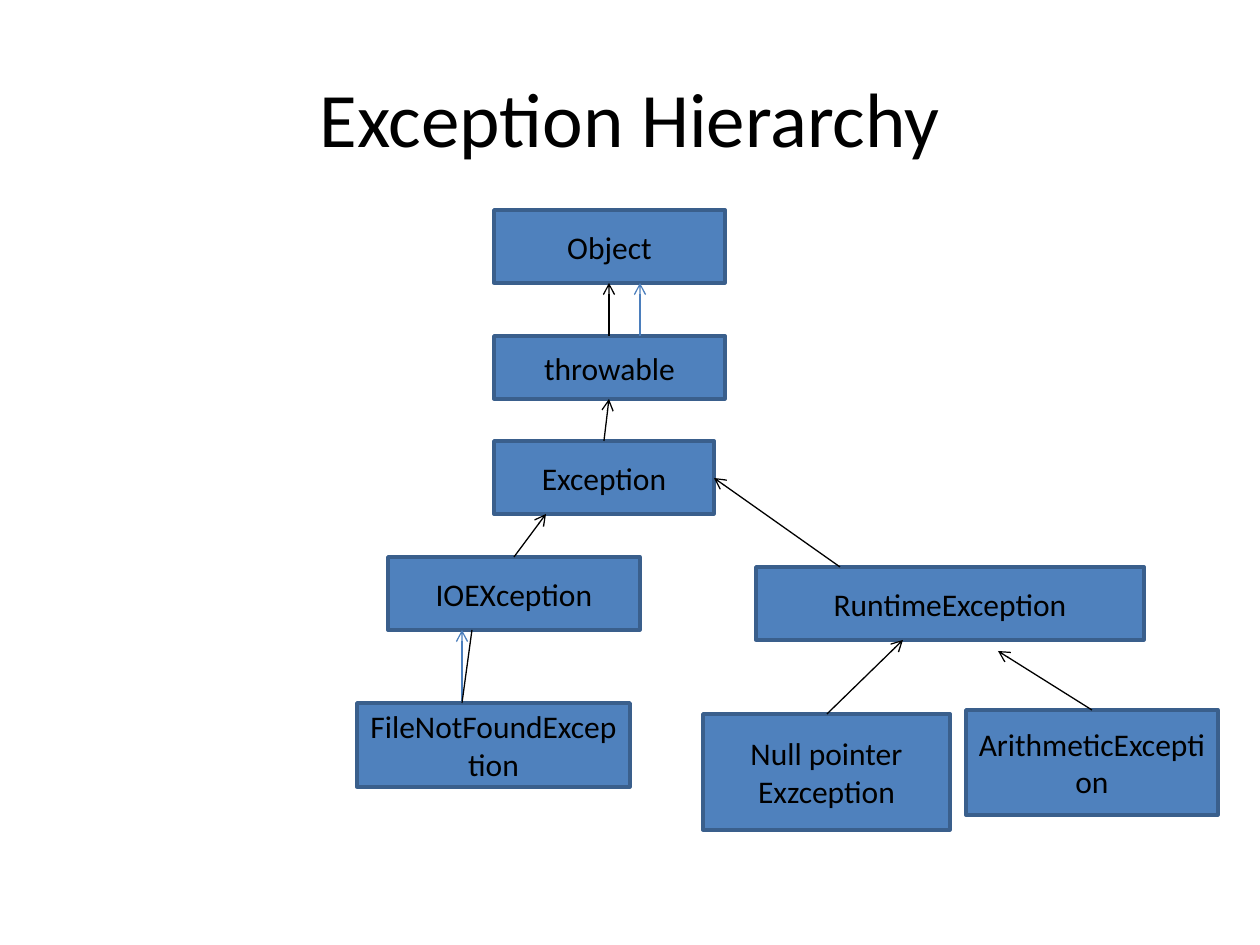
import dataclasses

import lxml.etree
import pptx
import pptx.dml.color
import pptx.enum.shapes
import pptx.enum.text
import pptx.oxml.ns
import pptx.util

PIXEL = 914400 // 126
FONT = "Calibri"
COLORS = {"box": "4F81BD", "border": "3A5F8C", "accent": "4B7EBC", "ink": "000000"}


@dataclasses.dataclass(frozen=True)
class Box:
    text: str
    left: int
    top: int
    width: int
    height: int


@dataclasses.dataclass(frozen=True)
class Link:
    start: tuple[int, int]
    end: tuple[int, int]
    color: str = "ink"
    arrow: bool = True


TITLE = Box("Exception Hierarchy", 63, 38, 1134, 158)
CLASSES = [
    Box("Object", 494, 210, 231, 73),
    Box("throwable", 494, 336, 231, 63),
    Box("Exception", 494, 441, 220, 73),
    Box("IOEXception", 388, 557, 252, 73),
    Box("FileNotFoundException", 357, 703, 273, 84),
    Box("RuntimeException", 756, 567, 388, 73),
    Box("ArithmeticException", 966, 710, 252, 105),
    Box("Null pointer Exzception", 703, 714, 247, 116),
]
LINKS = [
    Link((462, 703), (462, 630), "accent"),
    Link((462, 703), (472, 630), arrow=False),
    Link((514, 557), (546, 514)),
    Link((604, 441), (609, 399)),
    Link((640, 336), (640, 283), "accent"),
    Link((609, 336), (609, 283)),
    Link((840, 567), (714, 478)),
    Link((827, 714), (903, 640)),
    Link((1092, 710), (998, 651)),
]


def rgb(name: str) -> pptx.dml.color.RGBColor:
    """Return the named colour."""
    return pptx.dml.color.RGBColor.from_string(COLORS[name])


def bounds(box: Box) -> list[int]:
    """Return the box position and size in EMU."""
    return [value * PIXEL for value in (box.left, box.top, box.width, box.height)]


def write_text(shape, text: str, size: int) -> None:
    """Write centred text into a shape."""
    frame = shape.text_frame
    frame.text = text
    frame.word_wrap = True
    frame.vertical_anchor = pptx.enum.text.MSO_ANCHOR.MIDDLE
    paragraph = frame.paragraphs[0]
    paragraph.alignment = pptx.enum.text.PP_ALIGN.CENTER
    font = paragraph.runs[0].font
    font.name = FONT
    font.size = pptx.util.Pt(size)
    font.color.rgb = rgb("ink")


def draw_class(slide, box: Box) -> None:
    """Draw one class rectangle."""
    shape = slide.shapes.add_shape(
        pptx.enum.shapes.MSO_SHAPE.RECTANGLE, *bounds(box)
    )
    shape.shadow.inherit = False
    shape.fill.solid()
    shape.fill.fore_color.rgb = rgb("box")
    shape.line.color.rgb = rgb("border")
    shape.line.width = pptx.util.Pt(2)
    write_text(shape, box.text, 18)


def draw_link(slide, link: Link) -> None:
    """Draw one inheritance line."""
    connector = slide.shapes.add_connector(
        pptx.enum.shapes.MSO_CONNECTOR.STRAIGHT,
        *(value * PIXEL for value in link.start + link.end),
    )
    connector.line.color.rgb = rgb(link.color)
    connector.line.width = pptx.util.Pt(0.75)
    if link.arrow:
        outline = connector.line._get_or_add_ln()
        lxml.etree.SubElement(outline, pptx.oxml.ns.qn("a:tailEnd"), type="arrow")
    properties = connector._element.spPr
    lxml.etree.SubElement(properties, pptx.oxml.ns.qn("a:effectLst"))


def main() -> None:
    """Build the exception hierarchy slide."""
    presentation = pptx.Presentation()
    presentation.slide_width = pptx.util.Inches(10)
    presentation.slide_height = pptx.util.Inches(7.5)
    slide = presentation.slides.add_slide(presentation.slide_layouts[6])
    write_text(slide.shapes.add_textbox(*bounds(TITLE)), TITLE.text, 44)
    for box in CLASSES:
        draw_class(slide, box)
    for link in LINKS:
        draw_link(slide, link)
    presentation.save("out.pptx")


main()
